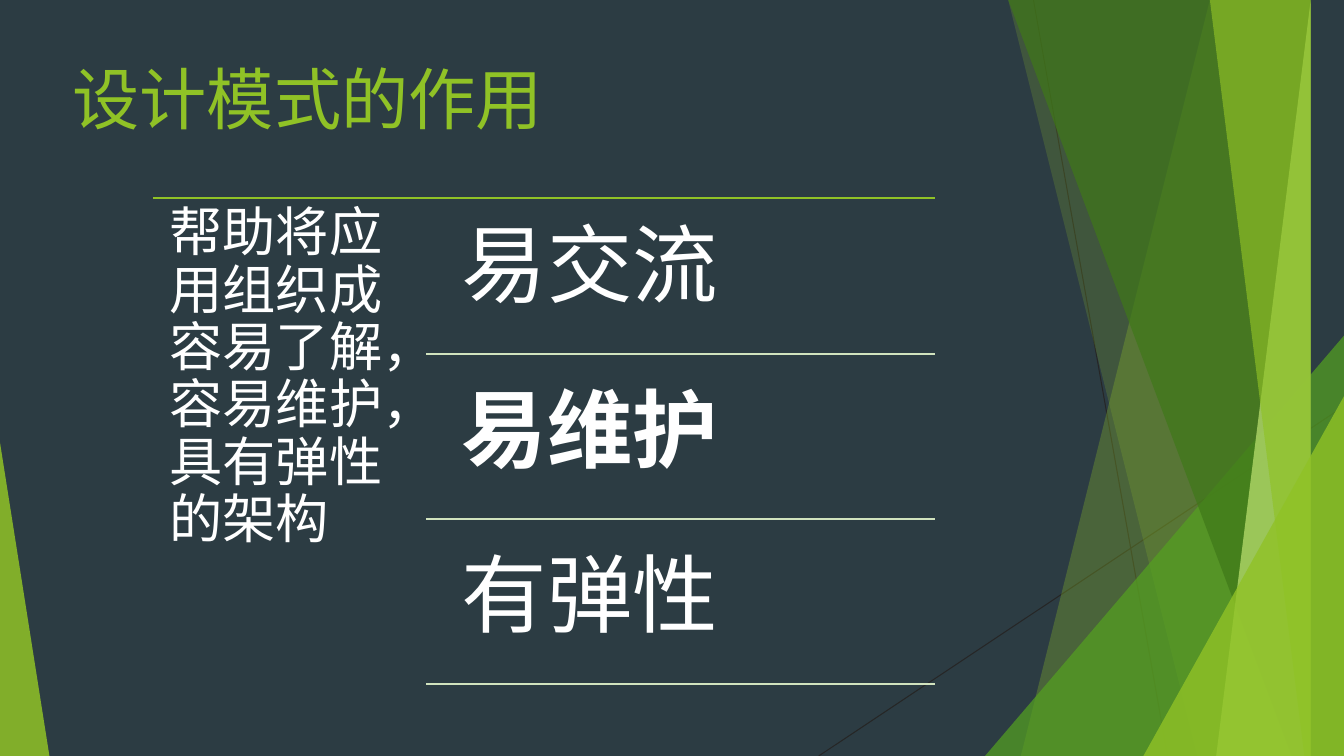
from dataclasses import dataclass

from lxml import etree
from pptx import Presentation
from pptx import util as u
from pptx.dml.color import RGBColor
from pptx.enum import lang, shapes, text
from pptx.oxml import ns
from pptx.shapes.base import BaseShape
from pptx.slide import Slide


@dataclass(frozen=True)
class Theme:
    font: str = "Roboto"
    background: str = "2C3C43"
    ink: str = "262626"
    lime: str = "90C226"
    green: str = "54A021"
    forest: str = "3F7819"
    pale_lime: str = "C0E474"
    pale_rule: str = "D1E3BE"
    white: str = "FFFFFF"
    title_size: int = 48
    summary_size: int = 38
    benefit_size: int = 61
    hairline: float = 0.75
    rule: float = 1.5


@dataclass(frozen=True)
class Rule:
    start: tuple[float, float]
    end: tuple[float, float]
    color: str
    weight: float


@dataclass(frozen=True)
class Band:
    top_x: float
    bottom_x: float
    color: str
    opacity: int


@dataclass(frozen=True)
class Corner:
    left: float
    top: float
    width: float
    apex: float
    color: str
    opacity: int


@dataclass(frozen=True)
class Label:
    content: str
    box: tuple[float, float, float, float]
    size: int
    color: str
    inset_x: float
    inset_y: float
    line_spacing: float = 1.0
    bold: bool = False


THEME = Theme()
WIDTH, HEIGHT = 13.33, 7.5
BAND_TOP = -0.01

FACET_LINES = [
    Rule((10.25, 0), (11.58, HEIGHT), THEME.ink, THEME.hairline),
    Rule((WIDTH, 4.03), (8.12, HEIGHT), THEME.ink, THEME.hairline),
]
FACETS = [
    Band(12.28, 10.04, THEME.lime, 30),
    Band(10.5, 11.83, THEME.lime, 20),
    Corner(9.77, 3.33, 3.56, 1, THEME.green, 72),
    Band(10.21, 12.91, THEME.forest, 70),
    Band(13.03, 11.92, THEME.pale_lime, 70),
    Band(11.96, 13.18, THEME.lime, 65),
    Corner(11.34, 3.93, 1.99, 1, THEME.lime, 80),
    Corner(0, 4.39, 0.49, 0, THEME.lime, 85),
]

TITLE = Label("设计模式的作用", (0.62, 0.52, 10.18, 2.09),
              THEME.title_size, THEME.lime, 0.1, 0.05)
SUMMARY = Label("帮助将应用组织成容易了解，容易维护，具有弹性的架构",
                (1.52, 1.88, 2.71, 4.98), THEME.summary_size, THEME.white,
                0.16, 0.16, 0.9)
BENEFITS = [("易交流", False), ("易维护", True), ("有弹性", False)]
LIST_LEFT, LIST_TOP, LIST_RIGHT, LIST_BOTTOM = 1.52, 1.96, 9.27, 6.87
BENEFIT_LEFT, BENEFIT_RULE_LEFT = 4.33, 4.23
BENEFIT_HEIGHT, RULE_OFFSET = 1.56, 1.55


def add_rule(slide: Slide, rule: Rule) -> None:
    points = [u.Inches(value) for value in (*rule.start, *rule.end)]
    connector = slide.shapes.add_connector(shapes.MSO_CONNECTOR.STRAIGHT, *points)
    connector.line.color.rgb = RGBColor.from_string(rule.color)
    connector.line.width = u.Pt(rule.weight)
    etree.SubElement(connector._element.spPr, ns.qn("a:effectLst"))


def paint(shape: BaseShape, color: str, opacity: int) -> None:
    shape.shadow.inherit = False
    shape.line.fill.background()
    shape.fill.solid()
    shape.fill.fore_color.rgb = RGBColor.from_string(color)
    color_element = shape._element.spPr.find(".//" + ns.qn("a:srgbClr"))
    etree.SubElement(color_element, ns.qn("a:alpha"), val=str(opacity * 1000))


def add_band(slide: Slide, band: Band) -> None:
    builder = slide.shapes.build_freeform(band.top_x, BAND_TOP, scale=u.Inches(1))
    builder.add_line_segments(
        [(WIDTH, BAND_TOP), (WIDTH, HEIGHT), (band.bottom_x, HEIGHT)], close=True)
    paint(builder.convert_to_shape(), band.color, band.opacity)


def add_corner(slide: Slide, corner: Corner) -> None:
    box = (corner.left, corner.top, corner.width, HEIGHT - corner.top)
    shape = slide.shapes.add_shape(
        shapes.MSO_SHAPE.ISOSCELES_TRIANGLE, *map(u.Inches, box))
    shape.adjustments[0] = corner.apex
    paint(shape, corner.color, corner.opacity)


def add_label(slide: Slide, label: Label) -> None:
    shape = slide.shapes.add_textbox(*map(u.Inches, label.box))
    frame_format = {
        "word_wrap": True,
        "vertical_anchor": text.MSO_ANCHOR.TOP,
        "margin_left": u.Inches(label.inset_x),
        "margin_right": u.Inches(label.inset_x),
        "margin_top": u.Inches(label.inset_y),
        "margin_bottom": u.Inches(label.inset_y),
    }
    for name, value in frame_format.items():
        setattr(shape.text_frame, name, value)
    paragraph = shape.text_frame.paragraphs[0]
    paragraph.line_spacing = label.line_spacing
    run = paragraph.add_run()
    run.text = label.content
    font_format = {
        "name": THEME.font,
        "size": u.Pt(label.size),
        "bold": label.bold,
        "language_id": lang.MSO_LANGUAGE_ID.SIMPLIFIED_CHINESE,
    }
    for name, value in font_format.items():
        setattr(run.font, name, value)
    run.font.color.rgb = RGBColor.from_string(label.color)


def add_benefits(slide: Slide) -> None:
    pitch = (LIST_BOTTOM - LIST_TOP) / len(BENEFITS)
    for index, (content, bold) in enumerate(BENEFITS):
        top = LIST_TOP + index * pitch
        box = (BENEFIT_LEFT, top, LIST_RIGHT - BENEFIT_LEFT, BENEFIT_HEIGHT)
        add_label(slide, Label(content, box, THEME.benefit_size, THEME.white,
                               0.25, 0.25, 0.9, bold))
        rule_y = top + RULE_OFFSET
        add_rule(slide, Rule((BENEFIT_RULE_LEFT, rule_y), (LIST_RIGHT, rule_y),
                             THEME.pale_rule, THEME.rule))


def main() -> None:
    presentation = Presentation()
    presentation.slide_width = u.Inches(WIDTH)
    presentation.slide_height = u.Inches(HEIGHT)
    slide = presentation.slides.add_slide(presentation.slide_layouts[6])
    slide.background.fill.solid()
    slide.background.fill.fore_color.rgb = RGBColor.from_string(THEME.background)

    for line in FACET_LINES:
        add_rule(slide, line)
    for facet in FACETS:
        if isinstance(facet, Band):
            add_band(slide, facet)
        else:
            add_corner(slide, facet)

    add_label(slide, TITLE)
    add_rule(slide, Rule((LIST_LEFT, LIST_TOP), (LIST_RIGHT, LIST_TOP),
                         THEME.lime, THEME.rule))
    add_label(slide, SUMMARY)
    add_benefits(slide)
    presentation.save("out.pptx")


if __name__ == "__main__":
    main()
